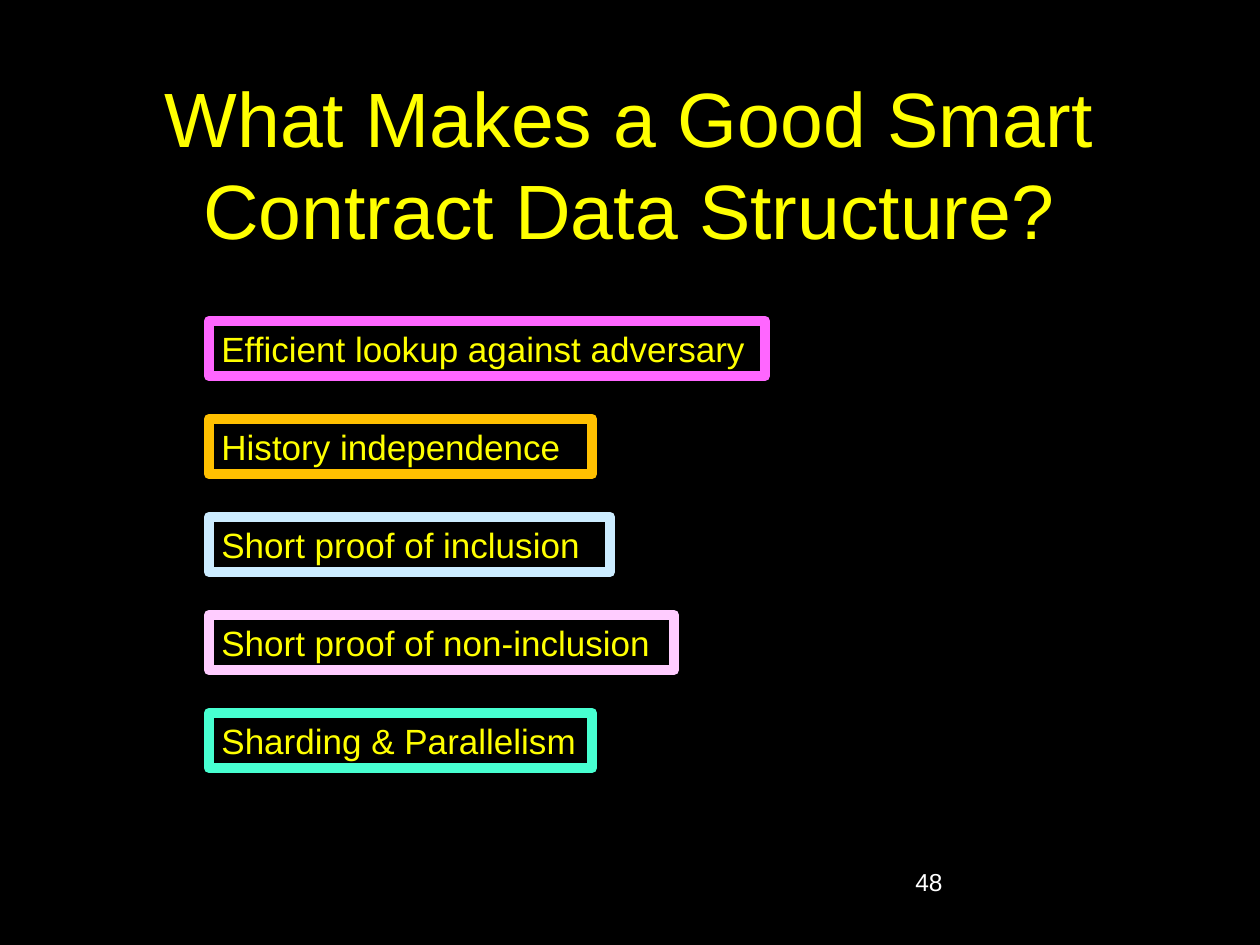
from typing import NamedTuple

from pptx import Presentation
from pptx.dml.color import RGBColor
from pptx.enum.shapes import MSO_SHAPE
from pptx.enum.text import MSO_ANCHOR, PP_ALIGN
from pptx.util import Emu, Pt

DPI = 126
BLACK = RGBColor(0x00, 0x00, 0x00)
WHITE = RGBColor(0xFF, 0xFF, 0xFF)
YELLOW = RGBColor(0xFF, 0xFF, 0x00)
PINK = RGBColor(0xFF, 0x66, 0xFF)
GOLD = RGBColor(0xFF, 0xC0, 0x00)
SKY = RGBColor(0xCC, 0xEC, 0xFF)
ROSE = RGBColor(0xFF, 0xCC, 0xFF)
MINT = RGBColor(0x47, 0xFF, 0xD1)

LEFT, TOP, STEP, HEIGHT = 209, 321, 98, 55


class Trait(NamedTuple):
    text: str
    width: int
    edge: RGBColor


TRAITS = [
    Trait("Efficient lookup against adversary", 556, PINK),
    Trait("History independence", 383, GOLD),
    Trait("Short proof of inclusion", 401, SKY),
    Trait("Short proof of non-inclusion", 465, ROSE),
    Trait("Sharding & Parallelism", 383, MINT),
]


def px(count: int) -> Emu:
    return Emu(round(count * 914400 / DPI))


def write(shape, text: str, *, size: int, color: RGBColor = YELLOW,
          align=PP_ALIGN.LEFT, anchor=MSO_ANCHOR.TOP) -> None:
    frame = shape.text_frame
    frame.word_wrap = True
    frame.vertical_anchor = anchor
    para = frame.paragraphs[0]
    para.alignment = align
    run = para.add_run()
    run.text = text
    run.font.name = "Arial"
    run.font.size = Pt(size)
    run.font.color.rgb = color


def add_label(slide, text: str, left: int, top: int, width: int, height: int,
              **style) -> None:
    box = slide.shapes.add_textbox(px(left), px(top), px(width), px(height))
    write(box, text, **style)


def add_trait(slide, trait: Trait, top: int) -> None:
    box = slide.shapes.add_shape(
        MSO_SHAPE.RECTANGLE, px(LEFT), px(top), px(trait.width), px(HEIGHT))
    box.shadow.inherit = False
    box.fill.solid()
    box.fill.fore_color.rgb = BLACK
    box.line.color.rgb = trait.edge
    box.line.width = Pt(6)
    write(box, trait.text, size=20)


def main() -> None:
    deck = Presentation()
    deck.slide_width, deck.slide_height = px(1260), px(945)
    slide = deck.slides.add_slide(deck.slide_layouts[6])
    slide.background.fill.solid()
    slide.background.fill.fore_color.rgb = BLACK

    add_label(slide, "What Makes a Good Smart Contract Data Structure?",
              94, 84, 1071, 158, size=44,
              align=PP_ALIGN.CENTER, anchor=MSO_ANCHOR.MIDDLE)
    for row, trait in enumerate(TRAITS):
        add_trait(slide, trait, TOP + row * STEP)
    add_label(slide, "48", 903, 861, 262, 63, size=14, color=WHITE)
    deck.save("out.pptx")


if __name__ == "__main__":
    main()
